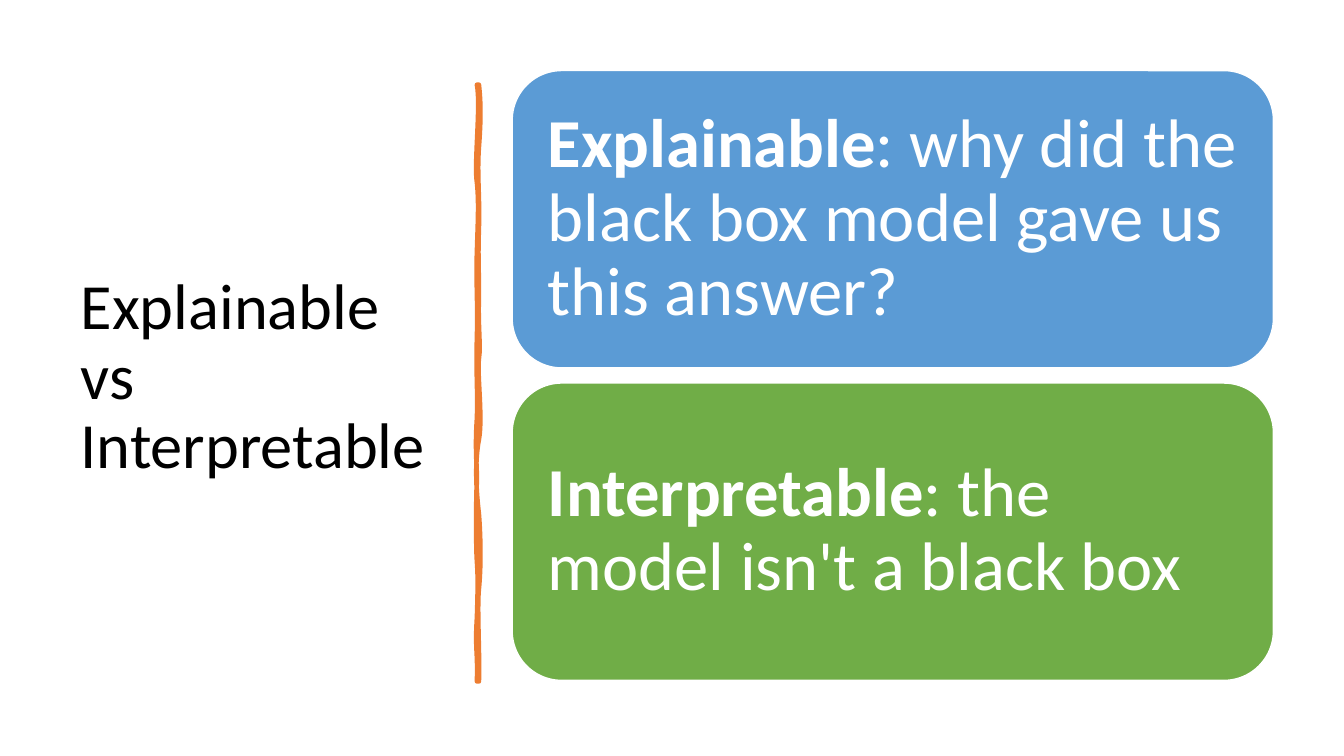
from pptx import Presentation
from pptx.dml.color import RGBColor
from pptx.enum.shapes import MSO_SHAPE
from pptx.enum.text import MSO_ANCHOR, MSO_AUTO_SIZE, PP_ALIGN
from pptx.oxml.ns import qn
from pptx.util import Inches, Pt
from lxml import etree

BLACK = RGBColor(0x00, 0x00, 0x00)
WHITE = RGBColor(0xFF, 0xFF, 0xFF)
BLUE = RGBColor(0x5B, 0x9B, 0xD5)
GREEN = RGBColor(0x70, 0xAD, 0x47)
ORANGE = RGBColor(0xED, 0x7D, 0x31)
FONT = "Calibri"

TITLE = "Explainable vs Interpretable"
CARDS = [
    ("Explainable", ": why did the black box model gave us this answer?", BLUE),
    ("Interpretable", ": the model isn't a black box", GREEN),
]
CARD_LEFT, CARD_TOP, CARD_WIDTH, CARD_HEIGHT = 5.08, 0.7, 7.55, 2.95
CARD_PITCH = 3.1

# Hand-drawn divider: each curve is two control points and an end point
DIVIDER_START = (4.75, 0.84)
DIVIDER_CURVES = [
    ((4.77, 1.02), (4.77, 1.19), (4.75, 1.46)),
    ((4.73, 1.73), (4.76, 1.95), (4.75, 2.26)),
    ((4.74, 2.57), (4.75, 2.62), (4.75, 2.94)),
    ((4.74, 3.25), (4.77, 3.42), (4.75, 3.56)),
    ((4.73, 3.7), (4.79, 4.14), (4.75, 4.36)),
    ((4.71, 4.57), (4.72, 4.84), (4.75, 5.1)),
    ((4.77, 5.36), (4.77, 5.64), (4.75, 5.84)),
    ((4.73, 6.03), (4.76, 6.5), (4.75, 6.76)),
    ((4.74, 6.76), (4.73, 6.76), (4.73, 6.76)),
    ((4.74, 6.46), (4.71, 6.44), (4.73, 6.13)),
    ((4.74, 5.83), (4.74, 5.7), (4.73, 5.57)),
    ((4.72, 5.44), (4.72, 4.95), (4.73, 4.77)),
    ((4.73, 4.59), (4.71, 4.45), (4.73, 4.15)),
    ((4.74, 3.86), (4.72, 3.73), (4.73, 3.35)),
    ((4.74, 2.98), (4.72, 2.81), (4.73, 2.5)),
    ((4.74, 2.18), (4.75, 2), (4.73, 1.81)),
    ((4.7, 1.63), (4.77, 1.04), (4.73, 0.84)),
    ((4.74, 0.84), (4.74, 0.84), (4.75, 0.84)),
]


def bend(sp):
    """Turn every three straight segments of a freeform into one Bezier curve."""
    segments = list(sp._element.iter(qn("a:lnTo")))
    for i in range(0, len(segments), 3):
        curve = etree.Element(qn("a:cubicBezTo"))
        segments[i].addprevious(curve)
        for segment in segments[i:i + 3]:
            curve.append(segment[0])
            segment.getparent().remove(segment)


def add_run(p, text, size, color, bold=False):
    r = p.add_run()
    r.text = text
    r.font.name = FONT
    r.font.size = Pt(size)
    r.font.bold = bold
    r.font.color.rgb = color


def left_paragraph(tf):
    """Set up a wrapped, vertically centred frame and return its paragraph."""
    tf.word_wrap = True
    tf.auto_size = MSO_AUTO_SIZE.NONE
    tf.vertical_anchor = MSO_ANCHOR.MIDDLE
    p = tf.paragraphs[0]
    p.alignment = PP_ALIGN.LEFT
    p.line_spacing = 0.9
    return p


def paint(sp, fill, line, width):
    sp.shadow.inherit = False
    sp.fill.solid()
    sp.fill.fore_color.rgb = fill
    sp.line.color.rgb = line
    sp.line.width = Pt(width)


def add_title(s):
    title = s.shapes.title
    title.left, title.top = Inches(0.7), Inches(0.7)
    title.width, title.height = Inches(3.74), Inches(6.11)
    add_run(left_paragraph(title.text_frame), TITLE, 46, BLACK)


def add_divider(s):
    x, y = DIVIDER_START
    builder = s.shapes.build_freeform(Inches(x), Inches(y))
    builder.add_line_segments(
        [(Inches(x), Inches(y)) for curve in DIVIDER_CURVES for x, y in curve])
    sp = builder.convert_to_shape()
    bend(sp)
    paint(sp, ORANGE, ORANGE, 3.25)
    etree.SubElement(sp.line._get_or_add_ln(), qn("a:round"))


def add_card(s, row, term, meaning, color):
    sp = s.shapes.add_shape(
        MSO_SHAPE.ROUNDED_RECTANGLE, Inches(CARD_LEFT),
        Inches(CARD_TOP + row * CARD_PITCH), Inches(CARD_WIDTH), Inches(CARD_HEIGHT))
    paint(sp, color, WHITE, 1)
    tf = sp.text_frame
    tf.margin_left = Inches(0.21)
    tf.margin_right = tf.margin_top = tf.margin_bottom = Inches(0.2)
    p = left_paragraph(tf)
    add_run(p, term, 49, WHITE, bold=True)
    add_run(p, meaning, 49, WHITE)


def main():
    prs = Presentation()
    prs.slide_width, prs.slide_height = Inches(13.33), Inches(7.5)
    s = prs.slides.add_slide(prs.slide_layouts.get_by_name("Title Only"))
    add_title(s)
    add_divider(s)
    for row, card in enumerate(CARDS):
        add_card(s, row, *card)
    prs.save("out.pptx")


if __name__ == "__main__":
    main()
